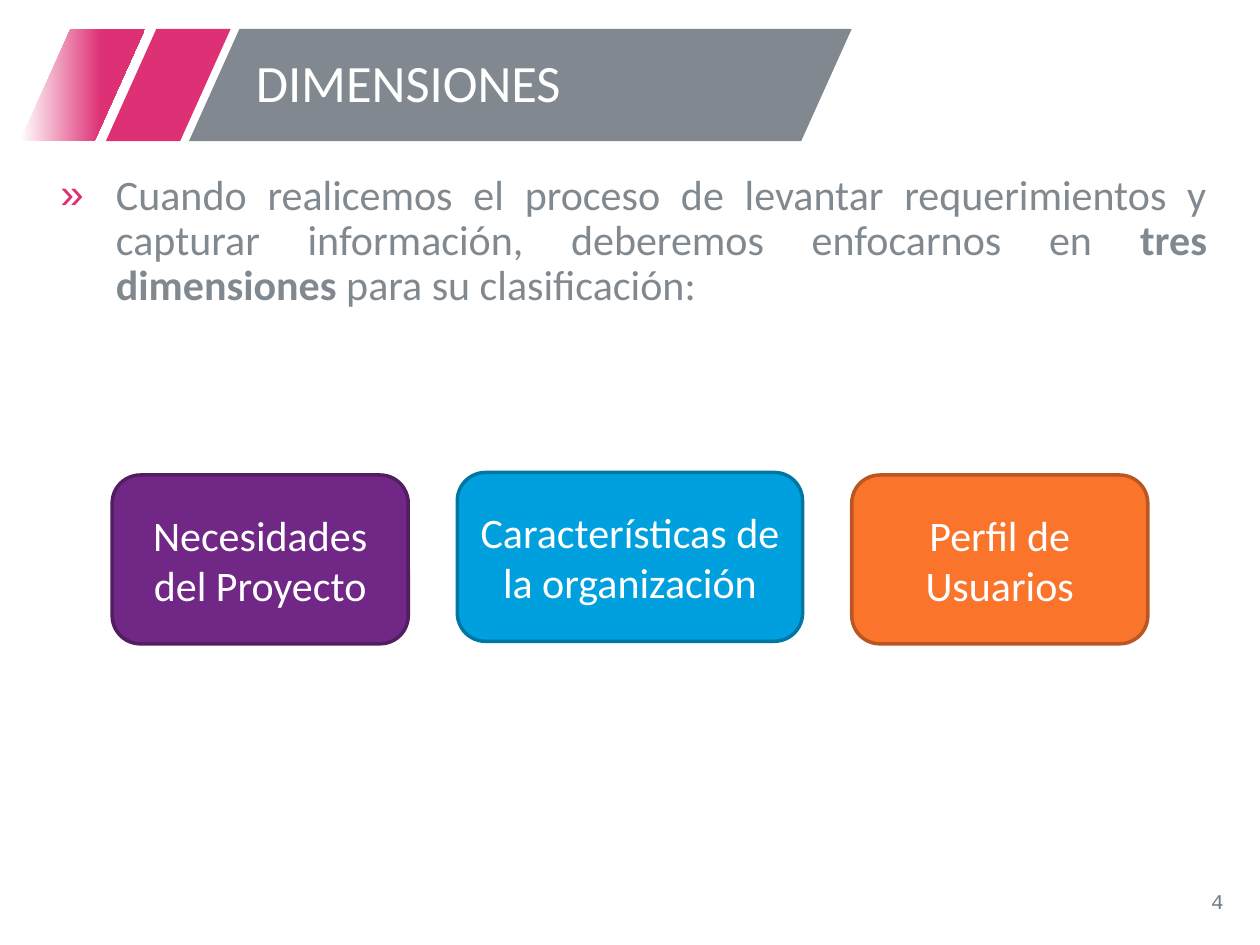
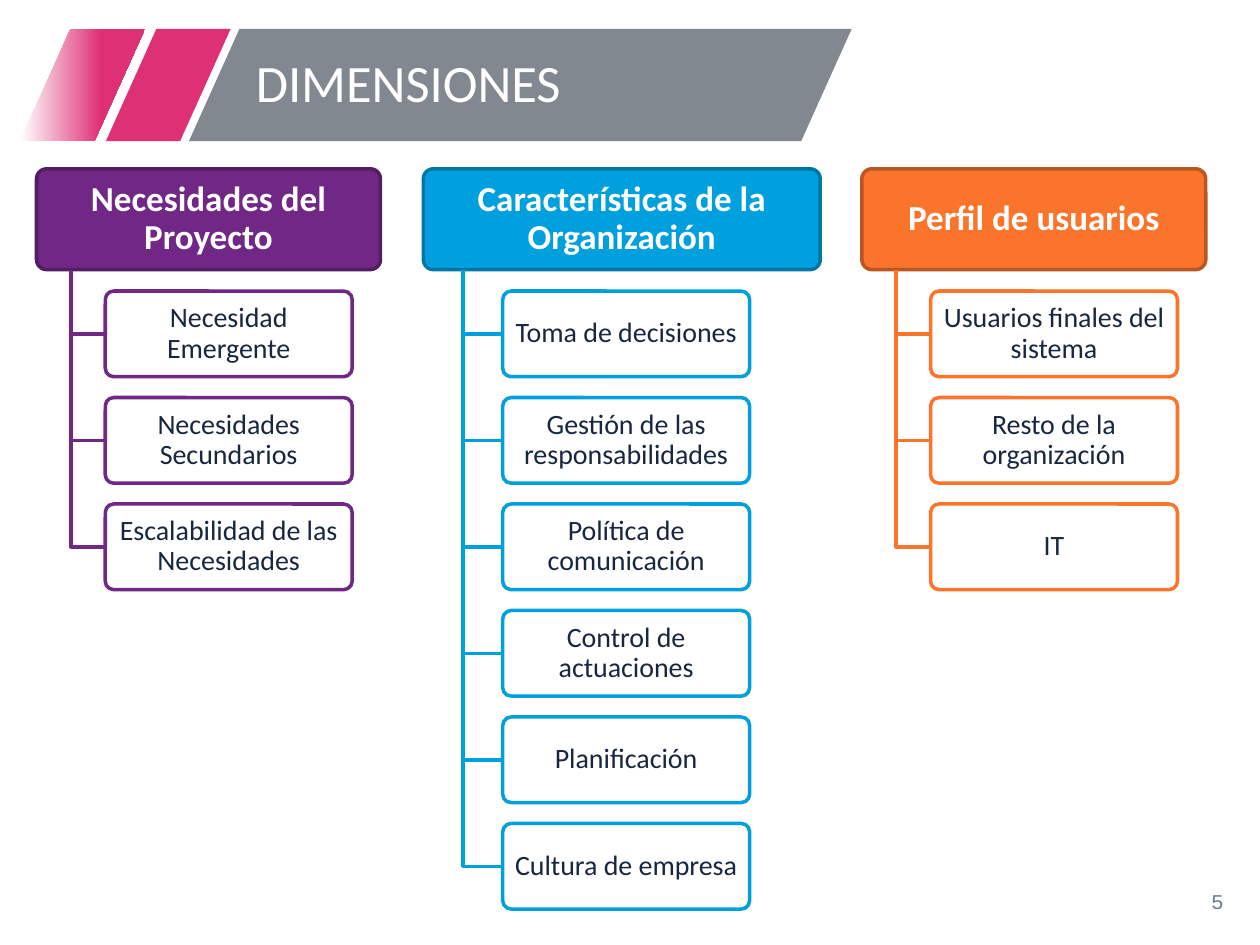
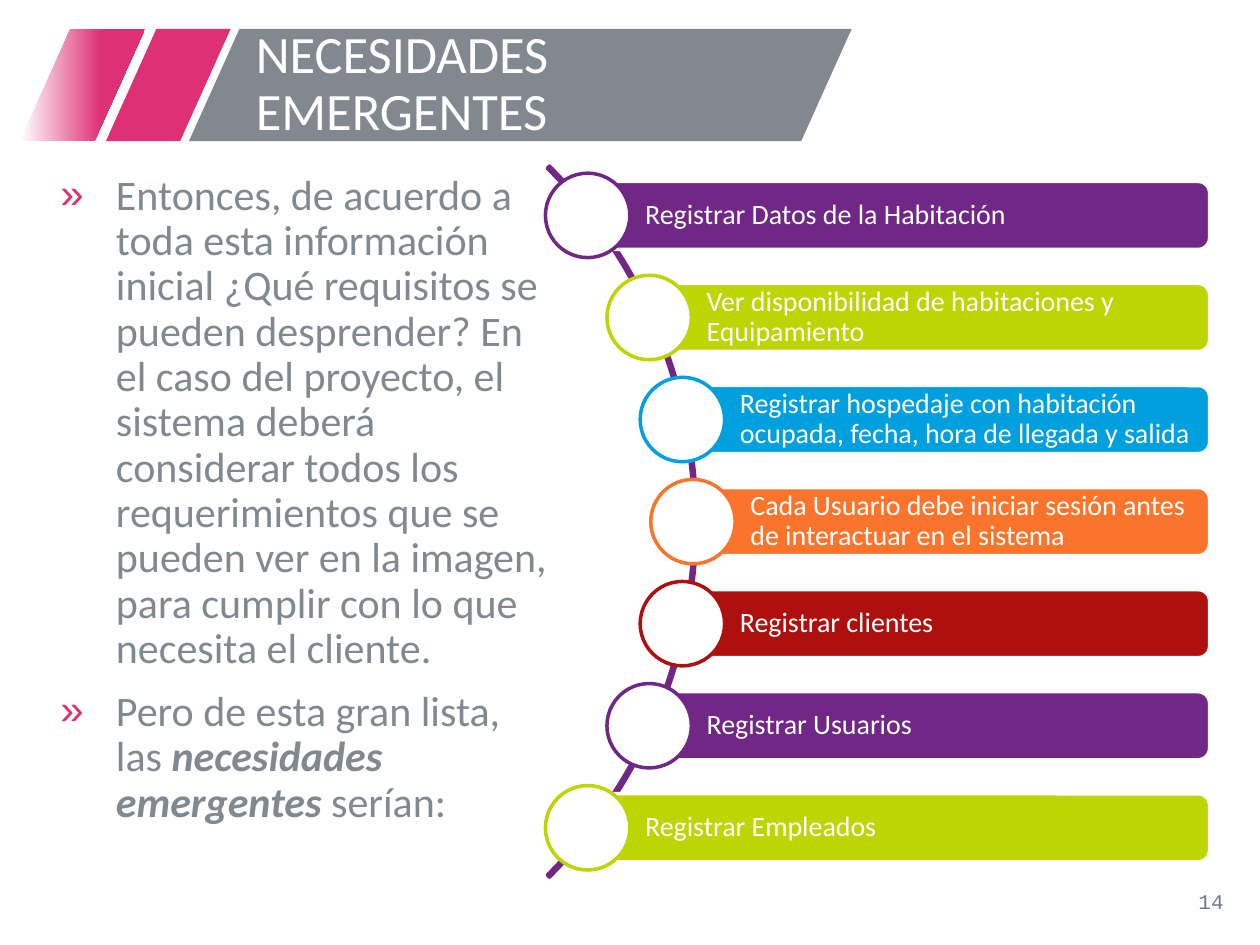
from math import sqrt

from lxml import etree
from pptx import Presentation
from pptx.dml.color import RGBColor
from pptx.enum.shapes import MSO_SHAPE
from pptx.enum.text import MSO_ANCHOR, MSO_AUTO_SIZE, PP_ALIGN
from pptx.oxml.ns import qn
from pptx.util import Inches, Pt

ROUND, OVAL = MSO_SHAPE.ROUNDED_RECTANGLE, MSO_SHAPE.OVAL
SLANT, ARC = MSO_SHAPE.PARALLELOGRAM, MSO_SHAPE.BLOCK_ARC
TOP, MIDDLE = MSO_ANCHOR.TOP, MSO_ANCHOR.MIDDLE
LEFT, CENTER, RIGHT = PP_ALIGN.LEFT, PP_ALIGN.CENTER, PP_ALIGN.RIGHT
JUSTIFY = PP_ALIGN.JUSTIFY
NO_FIT = MSO_AUTO_SIZE.NONE

WHITE, PINK, GRAY, BODY, FOOT = "FFFFFF", "DE3075", "81888F", "818990", "6C7A8A"
PURPLE, BLUE, ORANGE = "702785", "00A0DE", "FA742C"
LIME, RED, NAVY = "BDD503", "AE0F0F", "172740"
EDGE = {PURPLE: "531D62", BLUE: "0076A4", ORANGE: "B95621"}
BOLD, BOTH = {"bold": True}, {"bold": True, "italic": True}


def rgb(code):
    return RGBColor.from_string(code)


def place(shape, left, top, width, height):
    shape.left, shape.top = Inches(left), Inches(top)
    shape.width, shape.height = Inches(width), Inches(height)


def bullet(para):
    props = para._p.get_or_add_pPr()
    props.set("marL", str(Inches(0.5)))
    props.set("indent", str(Inches(-0.44)))
    color = etree.SubElement(props, qn("a:buClr"))
    etree.SubElement(color, qn("a:srgbClr"), val=PINK)
    etree.SubElement(props, qn("a:buChar"), char="»")


def write(shape, *paras, size=16, color=WHITE, font="Calibri", bold=False,
          align=LEFT, anchor=MIDDLE, inset=(0.1, 0.05, 0.1, 0.05),
          line=0.9, before=0, marks=False):
    """Fill a shape with paragraphs, each a string or a list of (text, style)."""
    frame = shape.text_frame
    frame.word_wrap, frame.auto_size = True, NO_FIT
    frame.vertical_anchor = anchor
    (frame.margin_left, frame.margin_top,
     frame.margin_right, frame.margin_bottom) = map(Inches, inset)
    for i, runs in enumerate(paras):
        para = frame.add_paragraph() if i else frame.paragraphs[0]
        if marks:
            bullet(para)
        para.alignment, para.line_spacing = align, line
        para.space_before = Pt(before if i else 0)
        for words, style in [(runs, {})] if isinstance(runs, str) else runs:
            run = para.add_run()
            run.text = words
            face = run.font
            face.name, face.size, face.bold = font, Pt(size), bold
            face.color.rgb = rgb(color)
            for key, value in style.items():
                setattr(face, key, value)


class Deck:
    def __init__(self):
        self.file = Presentation()
        self.file.slide_width, self.file.slide_height = Inches(10), Inches(7.5)
        self.slide = None

    def start(self, title, number, body=False):
        """Add a slide with the shared bands, title and page number."""
        self.slide = self.file.slides.add_slide(
            self.file.slide_layouts[1 if body else 5])
        shapes = self.slide.shapes
        for left, width, fill in ((0.84, 0.99, PINK), (0.16, 0.99, None),
                                  (1.5, 5.26, GRAY)):
            band = self.shape(SLANT, left, 0.23, width, 0.89, fill, adj=[0.45])
            if not fill:
                self.fade(band)
        head = shapes.title
        shapes.element.append(head.element)
        place(head, 1.93, 0.23, 4.69, 0.89)
        write(head, title, size=30)
        page = shapes.add_textbox(*map(Inches, (7.56, 6.95, 2.25, 0.4)))
        write(page, str(number), size=12, color=FOOT, font="Courier New",
              align=RIGHT, line=1)

    def fade(self, band):
        band.fill.gradient()
        band.fill.gradient_angle = 0
        for stop, place_at, code in zip(band.fill.gradient_stops, (0, 0.65),
                                        (WHITE, PINK)):
            stop.position, stop.color.rgb = place_at, rgb(code)

    def paint(self, shape, fill, line):
        shape.shadow.inherit = False
        if fill:
            shape.fill.solid()
            shape.fill.fore_color.rgb = rgb(fill)
        else:
            shape.fill.background()
        if line:
            shape.line.color.rgb = rgb(line)
            shape.line.width = Pt(2)
        else:
            shape.line.fill.background()

    def shape(self, kind, left, top, width, height, fill=None, line=None, adj=()):
        item = self.slide.shapes.add_shape(
            kind, *map(Inches, (left, top, width, height)))
        for i, value in enumerate(adj):
            item.adjustments[i] = value
        self.paint(item, fill, line)
        return item

    def elbow(self, left, top, right, bottom, color):
        pen = self.slide.shapes.build_freeform(Inches(left), Inches(top))
        pen.add_line_segments([(Inches(left), Inches(bottom)),
                               (Inches(right), Inches(bottom))], close=False)
        self.paint(pen.convert_to_shape(), None, color)

    def body(self, width, height, *paras, align=LEFT):
        box = self.slide.placeholders[1]
        place(box, 0.32, 1.33, width, height)
        write(box, *paras, size=24, color=BODY, align=align, anchor=TOP,
              before=10, marks=True)

    def tree(self, left, width, color, head, items):
        """Draw a heading with its items hanging from a trunk line."""
        top = self.shape(ROUND, left, 1.34, width, 0.8, color, EDGE[color], [0.1])
        write(top, head, size=20, bold=True, align=CENTER,
              inset=(0.04, 0.03, 0.04, 0.03))
        trunk, leaf = left + width * 0.1, left + width * 0.2
        for i, item in enumerate(items):
            y = 2.31 + i * 0.845
            self.elbow(trunk, 2.14, leaf, y + 0.34, color)
            box = self.shape(ROUND, leaf, y, 1.96, 0.68, WHITE, color, [0.1])
            write(box, item, color=NAVY, align=CENTER,
                  inset=(0.03, 0.02, 0.03, 0.02))

    def curve(self, items):
        """Draw bars whose round heads sit evenly along an arc."""
        self.shape(ARC, -2.45, 0.15, 7.98, 7.98, line=PURPLE, adj=[189, 27, 0.003])
        for i, (words, color) in enumerate(items):
            drop = (i - 3) * 0.81
            x, y = 1.55 + sqrt(3.95 ** 2 - drop ** 2), 4.14 + drop
            bar = self.shape(ROUND, x, y - 0.27, 9.6 - x, 0.54, color, WHITE)
            write(bar, words, inset=(0.43, 0.04, 0.04, 0.04))
            self.shape(OVAL, x - 0.335, y - 0.335, 0.67, 0.67, WHITE, color)


def main():
    deck = Deck()

    deck.start("DIMENSIONES", 4, body=True)
    deck.body(9.36, 1.55, [
        ("Cuando realicemos el proceso de levantar requerimientos y capturar "
         "información, deberemos enfocarnos en ", {}),
        ("tres dimensiones", BOLD), (" para su clasificación:", {})], align=JUSTIFY)
    for left, top, width, color, words in (
            (0.89, 3.77, 2.35, PURPLE, "Necesidades del Proyecto"),
            (3.63, 3.75, 2.74, BLUE, "Características de la organización"),
            (6.76, 3.77, 2.35, ORANGE, "Perfil de Usuarios")):
        box = deck.shape(ROUND, left, top, width, 1.34, color, EDGE[color])
        write(box, words, size=24, align=CENTER, line=1)

    deck.start("DIMENSIONES", 5)
    deck.tree(0.29, 2.73, PURPLE, "Necesidades del Proyecto", (
        "Necesidad Emergente", "Necesidades Secundarios",
        "Escalabilidad de las Necesidades"))
    deck.tree(3.36, 3.15, BLUE, "Características de la Organización", (
        "Toma de decisiones", "Gestión de las responsabilidades",
        "Política de comunicación", "Control de actuaciones",
        "Planificación", "Cultura de empresa"))
    deck.tree(6.84, 2.73, ORANGE, "Perfil de usuarios", (
        "Usuarios finales del sistema", "Resto de la organización", "IT"))

    deck.start("NECESIDADES EMERGENTES", 14, body=True)
    deck.body(
        4.15, 5.62,
        "Entonces, de acuerdo a toda esta información inicial ¿Qué requisitos "
        "se pueden desprender? En el caso del proyecto, el sistema deberá "
        "considerar todos los requerimientos que se pueden ver en la imagen, "
        "para cumplir con lo que necesita el cliente.",
        [("Pero de esta gran lista, las ", {}),
         ("necesidades emergentes ", BOTH), ("serían:", {})])
    deck.curve((
        ("Registrar Datos de la Habitación", PURPLE),
        ("Ver disponibilidad de habitaciones y Equipamiento", LIME),
        ("Registrar hospedaje con habitación ocupada, fecha, hora de llegada "
         "y salida", BLUE),
        ("Cada Usuario debe iniciar sesión antes de interactuar en el sistema",
         ORANGE),
        ("Registrar clientes", RED),
        ("Registrar Usuarios", PURPLE),
        ("Registrar Empleados", LIME)))

    deck.file.save("out.pptx")


if __name__ == "__main__":
    main()
